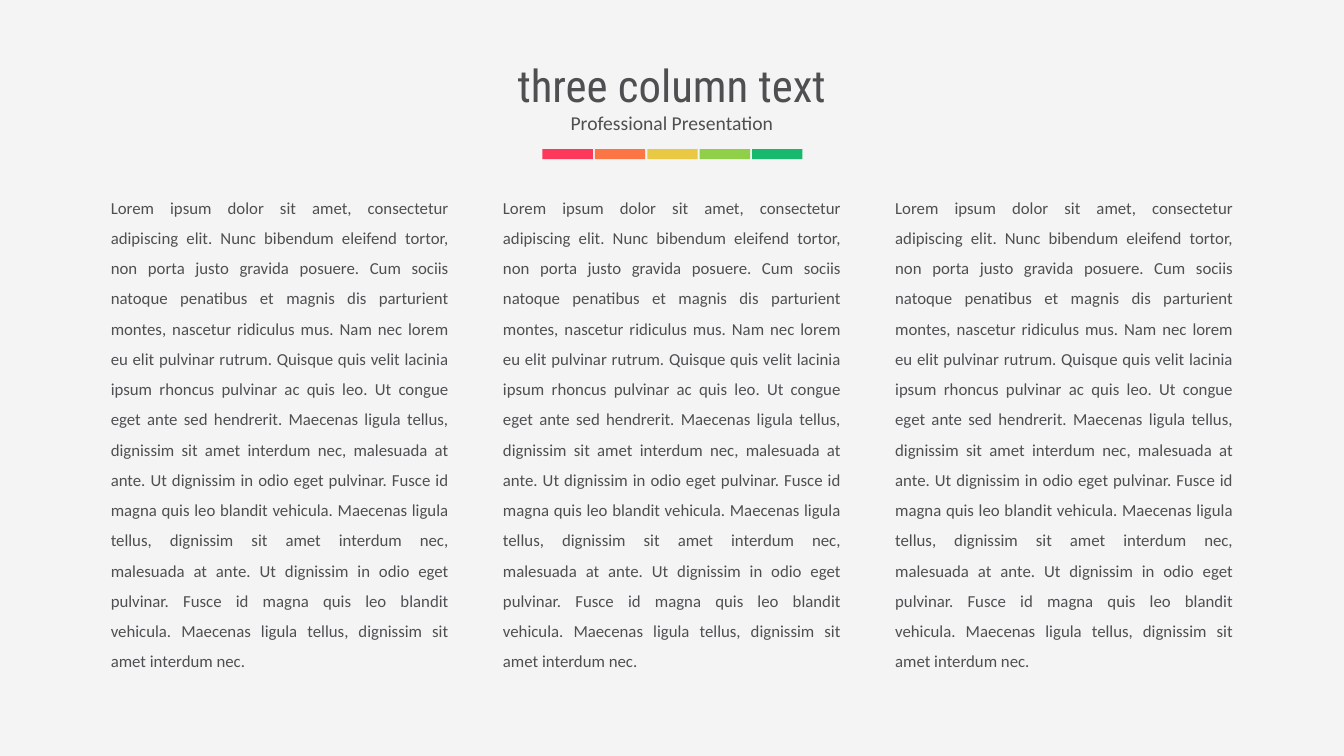
from pptx import Presentation
from pptx.dml.color import RGBColor
from pptx.enum.shapes import MSO_SHAPE as Shape
from pptx.enum.text import MSO_ANCHOR as Anchor, MSO_AUTO_SIZE as AutoSize, PP_ALIGN as Align
from pptx.util import Inches, Pt

BACKGROUND = RGBColor(0xF4, 0xF4, 0xF4)
INK = RGBColor(0x4F, 0x4F, 0x52)
RED = RGBColor(0xFC, 0x39, 0x5B)
ORANGE = RGBColor(0xFB, 0x75, 0x45)
YELLOW = RGBColor(0xE9, 0xC9, 0x44)
LIME = RGBColor(0x90, 0xD0, 0x49)
GREEN = RGBColor(0x18, 0xB9, 0x6E)

GRID_COLUMNS, GRID_ROWS = 13.33, 7.5

CLOSING = (
    "Maecenas ligula tellus, dignissim sit amet interdum nec, malesuada at ante. "
    "Ut dignissim in odio eget pulvinar. Fusce id magna quis leo blandit vehicula. "
)
BODY = (
    "Lorem ipsum dolor sit amet, consectetur adipiscing elit. Nunc bibendum "
    "eleifend tortor, non porta justo gravida posuere. Cum sociis natoque penatibus "
    "et magnis dis parturient montes, nascetur ridiculus mus. Nam nec lorem eu elit "
    "pulvinar rutrum. Quisque quis velit lacinia ipsum rhoncus pulvinar ac quis leo. "
    "Ut congue eget ante sed hendrerit. "
    + CLOSING * 2
    + "Maecenas ligula tellus, dignissim sit amet interdum nec."
)


def write(box, text, size=12, font="Calibri", color=INK, align=Align.CENTER, spacing=1.0):
    frame = box.text_frame
    frame.word_wrap = True
    frame.auto_size = AutoSize.NONE
    frame.vertical_anchor = Anchor.TOP
    para = frame.paragraphs[0]
    para.alignment = align
    para.line_spacing = spacing
    para.space_before = Pt(0)
    span = para.add_run()
    span.text = text
    span.font.size = Pt(size)
    span.font.name = font
    span.font.color.rgb = color


class SlideBuilder:
    def __init__(self, deck):
        self.column = deck.slide_width / GRID_COLUMNS
        self.row = deck.slide_height / GRID_ROWS
        self.page = deck.slides.add_slide(deck.slide_layouts[5])
        fill = self.page.background.fill
        fill.solid()
        fill.fore_color.rgb = BACKGROUND

    def area(self, left, top, width, height):
        return (
            round(left * self.column),
            round(top * self.row),
            round(width * self.column),
            round(height * self.row),
        )

    def title(self, text, *cells, **style):
        box = self.page.shapes.title
        box.left, box.top, box.width, box.height = self.area(*cells)
        write(box, text, **style)

    def text(self, text, *cells, **style):
        write(self.page.shapes.add_textbox(*self.area(*cells)), text, **style)

    def bar(self, color, *cells):
        bar = self.page.shapes.add_shape(Shape.RECTANGLE, *self.area(*cells))
        bar.shadow.inherit = False
        bar.fill.solid()
        bar.fill.fore_color.rgb = color
        bar.line.fill.background()


def main():
    deck = Presentation()
    deck.slide_width, deck.slide_height = Inches(GRID_COLUMNS), Inches(GRID_ROWS)
    slide = SlideBuilder(deck)
    slide.title("three column text", 0, 0.52, GRID_COLUMNS, 0.64, size=32, font="Roboto Condensed")
    slide.text("Professional Presentation", 0.68, 1.05, 11.97, 0.34, size=14)
    for index, color in enumerate((RED, ORANGE, YELLOW, LIME, GREEN)):
        slide.bar(color, 5.38 + 0.52 * index, 1.48, 0.5, 0.1)
    for index in range(3):
        slide.text(BODY, 1 + 3.89 * index, 1.81, 3.55, 4.95, align=Align.JUSTIFY, spacing=1.5)
    deck.save("out.pptx")


if __name__ == "__main__":
    main()
